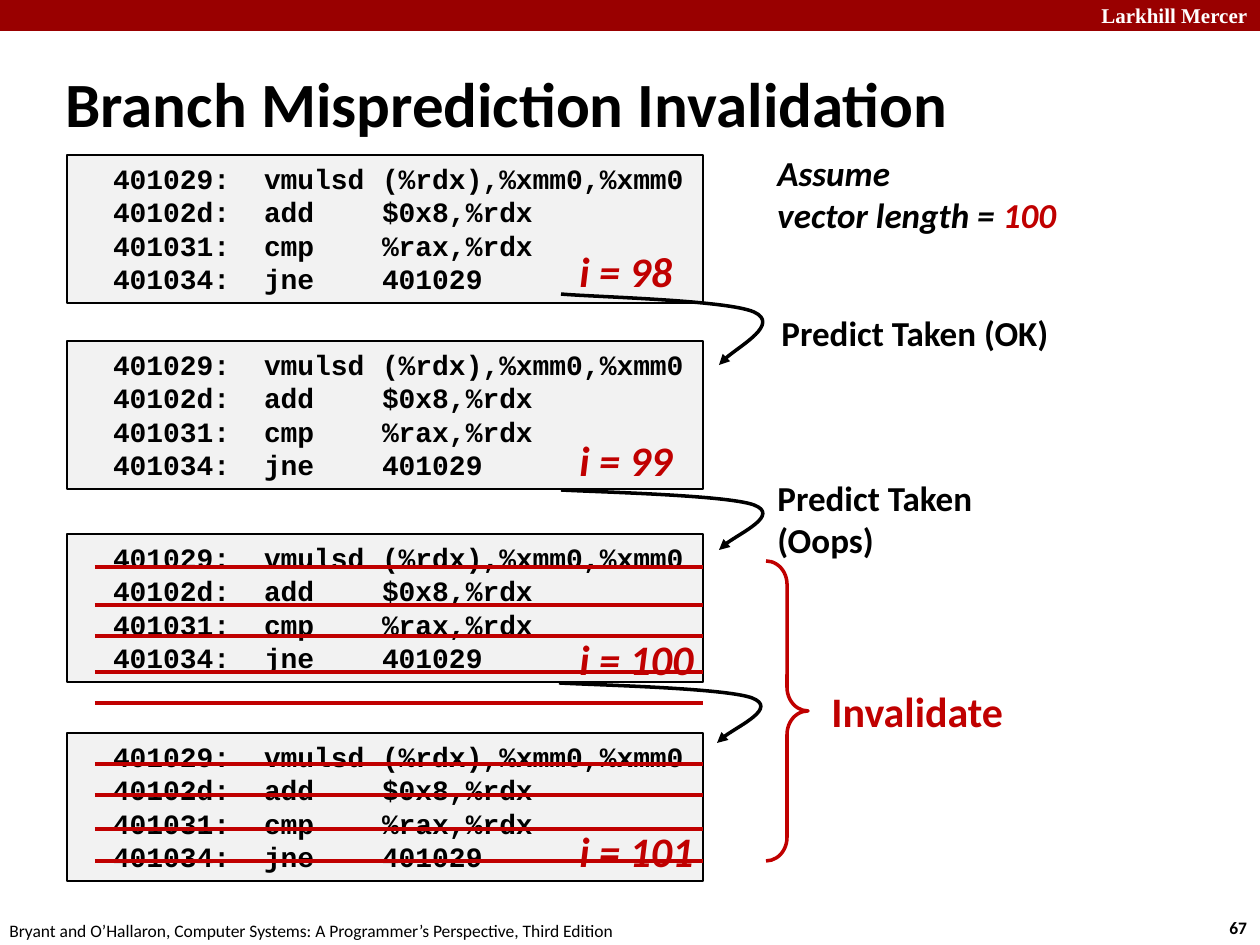
"""Build a slide on branch misprediction invalidation in a four-step loop trace."""
from dataclasses import dataclass

from lxml import etree
from pptx import Presentation
from pptx import util as u
from pptx.dml.color import RGBColor
from pptx.enum import shapes, text
from pptx.oxml import ns

SCALE = u.Inches(1) / 126
HUES = {"bar": "990000", "red": "C00000", "black": "000000",
        "white": "FFFFFF", "pale": "F2F2F2"}
CODE = ["401029:\tvmulsd\t(%rdx),%xmm0,%xmm0",
        "40102d:\tadd\t$0x8,%rdx",
        "401031:\tcmp\t%rax,%rdx",
        "401034:\tjne\t401029"]
TABS = (151, 269)
STRIKES = (567, 605, 636, 672, 703, 764, 795, 829, 861)
BEND = ((33, 0.04), (166, 0.08), (193, 0.25), (219, 0.42), (165, 0.84), (158, 1))


@dataclass
class Step:
    top: int
    mark: str
    note: int


@dataclass
class Jump:
    left: int
    top: int
    drop: int


@dataclass
class Label:
    box: tuple
    rows: list
    size: int = 20
    hue: str = "black"
    bold: bool = True
    slant: bool = False
    font: str = "Calibri"


STEPS = [Step(155, "i = 98", 239), Step(341, "i = 99", 428),
         Step(534, "i = 100", 627), Step(733, "i = 101", 819)]
JUMPS = [Jump(561, 294, 71), Jump(561, 490, 60), Jump(559, 683, 60)]
LABELS = [
    Label((1089, -4, 180, 38), ["Larkhill Mercer"], 12, "white", font="Times New Roman"),
    Label((1217, 911, 47, 34), ["67"], 10),
    Label((-3, 914, 640, 34), ["Bryant and O’Hallaron, Computer Systems: "
                               "A Programmer’s Perspective, Third Edition"], 10, bold=False),
    Label((769, 305, 295, 55), ["Predict Taken (OK)"]),
    Label((765, 470, 222, 97), ["Predict Taken", "(Oops)"]),
    Label((765, 145, 306, 97), ["Assume", [("vector length = ", "black"), ("100", "red")]],
          slant=True),
    Label((819, 679, 199, 63), ["Invalidate"], 24, "red"),
]


def px(num: float) -> int:
    return round(num * SCALE)


def tint(name: str) -> RGBColor:
    return RGBColor.from_string(HUES[name])


def write(frame, rows: list, *, size: int, hue: str = "black", bold: bool = True,
          slant: bool = False, font: str = "Calibri") -> None:
    for num, row in enumerate(rows):
        para = frame.paragraphs[0] if num == 0 else frame.add_paragraph()
        para.alignment = text.PP_ALIGN.LEFT
        for words, name in [(row, hue)] if isinstance(row, str) else row:
            run = para.add_run()
            run.text = words
            run.font.name, run.font.size = font, u.Pt(size)
            run.font.bold, run.font.italic = bold, slant
            run.font.color.rgb = tint(name)


def stroke(line, hue: str, width: float = 2) -> None:
    line.color.rgb = tint(hue)
    line.width = u.Pt(width)


def add_rect(slide, box: tuple, fill: str):
    rect = slide.shapes.add_shape(shapes.MSO_SHAPE.RECTANGLE, *map(px, box))
    rect.shadow.inherit = False
    rect.fill.solid()
    rect.fill.fore_color.rgb = tint(fill)
    rect.line.fill.background()
    return rect


def add_label(slide, item: Label) -> None:
    frame = slide.shapes.add_textbox(*map(px, item.box)).text_frame
    frame.word_wrap = False
    write(frame, item.rows, size=item.size, hue=item.hue, bold=item.bold,
          slant=item.slant, font=item.font)


def add_code(slide, step: Step) -> None:
    rect = add_rect(slide, (67, step.top, 636, 148), "pale")
    stroke(rect.line, "black", 0.75)
    frame = rect.text_frame
    frame.margin_left, frame.margin_right = px(46), 0
    frame.vertical_anchor = text.MSO_ANCHOR.TOP
    write(frame, CODE, size=16, font="Courier New")
    for para in frame.paragraphs:
        stops = etree.SubElement(para._p.get_or_add_pPr(), ns.qn("a:tabLst"))
        for stop in TABS:
            etree.SubElement(stops, ns.qn("a:tab"), pos=str(px(stop)), algn="l")


def add_jump(slide, jump: Jump) -> None:
    pen = slide.shapes.build_freeform(jump.left, jump.top, scale=SCALE)
    pen.add_line_segments([(jump.left + dx, jump.top + round(part * jump.drop))
                           for dx, part in BEND], close=False)
    curve = pen.convert_to_shape()
    curve.shadow.inherit = False
    curve.fill.background()
    stroke(curve.line, "black")
    etree.SubElement(curve.line._get_or_add_ln(), ns.qn("a:tailEnd"), type="triangle")
    legs = list(curve._element.iter(ns.qn("a:lnTo")))
    route = legs[0].getparent()
    for num in range(0, len(legs), 3):
        cubic = etree.SubElement(route, ns.qn("a:cubicBezTo"))
        for leg in legs[num:num + 3]:
            cubic.append(leg[0])
            route.remove(leg)


def add_strike(slide, top: int) -> None:
    line = slide.shapes.add_connector(shapes.MSO_CONNECTOR.STRAIGHT,
                                      px(95), px(top), px(703), px(top))
    stroke(line.line, "red")
    etree.SubElement(line._element.spPr, ns.qn("a:effectLst"))


def add_brace(slide) -> None:
    brace = slide.shapes.add_shape(shapes.MSO_SHAPE.RIGHT_BRACE,
                                   *map(px, (766, 561, 42, 300)))
    brace.shadow.inherit = False
    brace.fill.background()
    brace.adjustments[0], brace.adjustments[1] = 0.56, 0.5
    stroke(brace.line, "red")


def add_title(slide) -> None:
    title = slide.shapes.title
    title.left, title.top, title.width, title.height = map(px, (53, 63, 1095, 79))
    title.text_frame.vertical_anchor = text.MSO_ANCHOR.MIDDLE
    write(title.text_frame, ["Branch Misprediction Invalidation"], size=36)


def main() -> None:
    deck = Presentation()
    deck.slide_width, deck.slide_height = px(1260), px(945)
    slide = deck.slides.add_slide(deck.slide_layouts[5])
    add_title(slide)
    add_rect(slide, (0, 0, 1260, 31), "bar")
    for step in STEPS:
        add_code(slide, step)
    for jump in JUMPS:
        add_jump(slide, jump)
    marks = [Label((567, step.note, 140, 63), [step.mark], 24, "red", slant=True)
             for step in STEPS]
    for item in LABELS + marks:
        add_label(slide, item)
    for top in STRIKES:
        add_strike(slide, top)
    add_brace(slide)
    deck.save("out.pptx")


if __name__ == "__main__":
    main()
